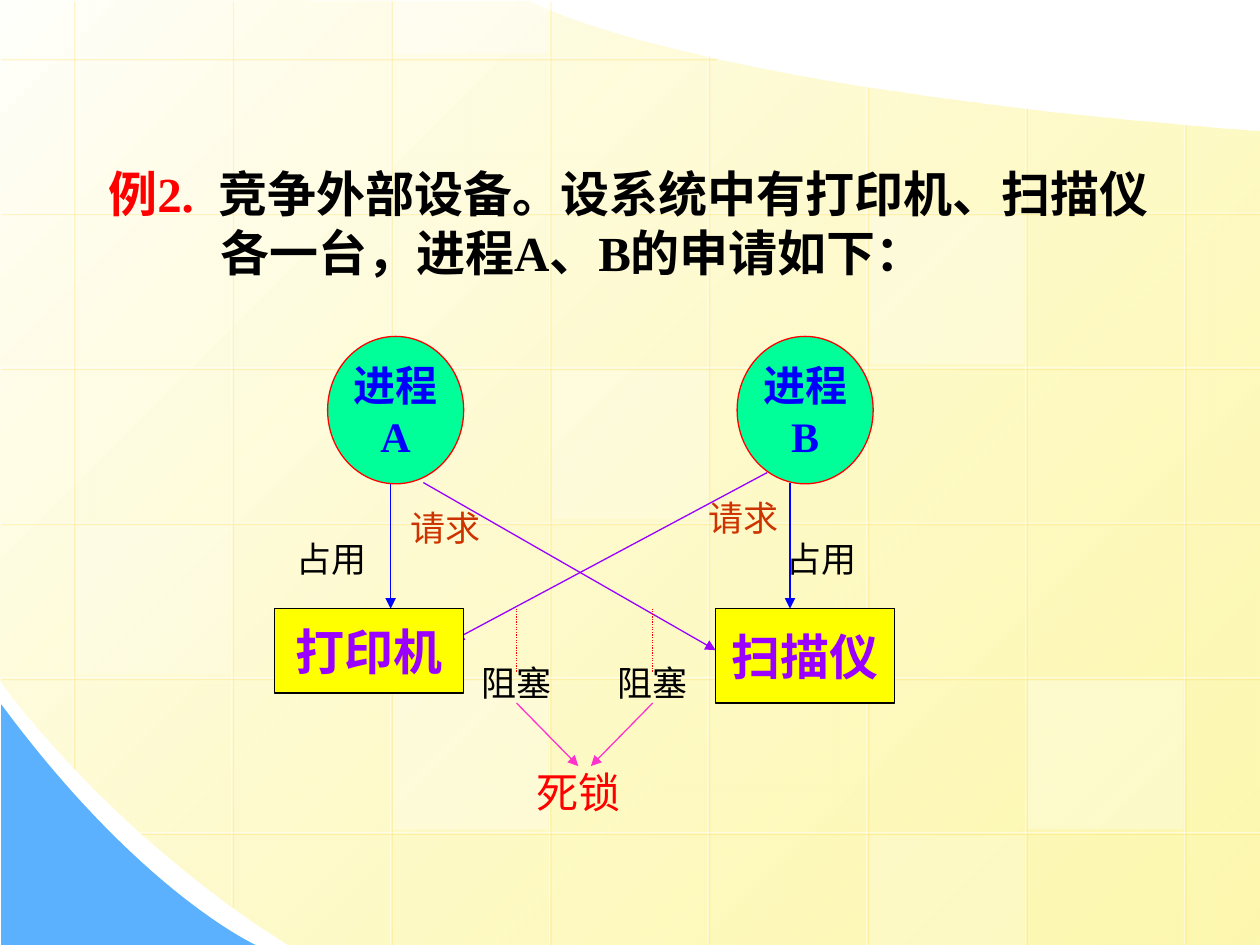
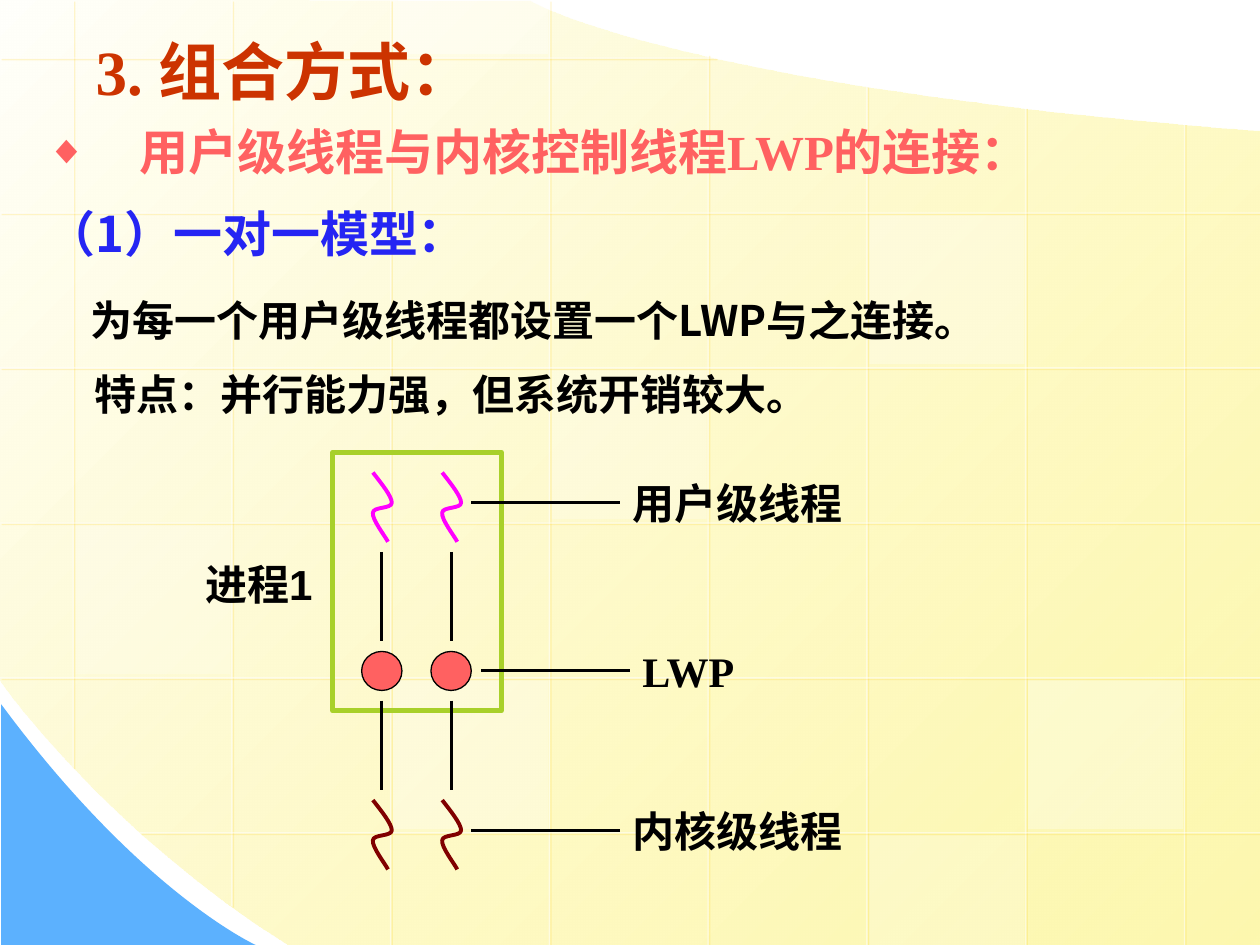
import pptx
import pptx.dml.color
import pptx.enum.dml
import pptx.enum.shapes
import pptx.enum.text
import pptx.oxml.ns
import pptx.util
from lxml import etree

Inches = pptx.util.Inches
Pt = pptx.util.Pt
RGB = pptx.dml.color.RGBColor
ALIGN = pptx.enum.text.PP_ALIGN
ANCHOR = pptx.enum.text.MSO_ANCHOR
SHAPE = pptx.enum.shapes.MSO_SHAPE
DASH = pptx.enum.dml.MSO_LINE

BLACK = RGB(0x00, 0x00, 0x00)
WHITE = RGB(0xFF, 0xFF, 0xFF)
RED = RGB(0xFF, 0x00, 0x00)
BLUE = RGB(0x00, 0x00, 0xFF)
YELLOW = RGB(0xFF, 0xFF, 0x00)
PURPLE = RGB(0x99, 0x00, 0xFF)
RUST = RGB(0xCC, 0x33, 0x00)
PINK = RGB(0xFF, 0x33, 0xCC)
MAGENTA = RGB(0xFF, 0x00, 0xFF)
MAROON = RGB(0x80, 0x00, 0x00)
MINT = RGB(0x00, 0xFF, 0x99)
LIME = RGB(0xA8, 0xD0, 0x2A)
CORAL = RGB(0xFF, 0x61, 0x61)
INDIGO = RGB(0x25, 0x25, 0xF3)
SKY = RGB(0x5C, 0xB1, 0xFE)
IVORY = RGB(0xFF, 0xFF, 0xFB)
CREAM = RGB(0xFD, 0xF5, 0x8D)
GRID_SHADOW = "FFCC00"

TIMES = "Times New Roman"
ARIAL = "Arial"
CJK = "Noto Sans CJK SC"
LINE_HEIGHT = 1.22
WIDTH, HEIGHT = 10, 7.5


def add_xml(parent, tag, **attributes):
    child = etree.SubElement(parent, pptx.oxml.ns.qn(tag))
    for key, value in attributes.items():
        child.set(key, str(value))
    return child


def set_opacity(shape, percent):
    """Apply the opacity to the last colour of the shape."""
    color = shape.element.xpath("./p:spPr//a:srgbClr")[-1]
    add_xml(color, "a:alpha", val=percent * 1000)


def write(paragraph, text, *, size, color, bold=True, font=TIMES, spacing=0):
    run = paragraph.add_run()
    run.text = text
    run.font.size = Pt(size)
    run.font.bold = bold
    run.font.color.rgb = color
    run.font.name = font
    if spacing:
        run.font._element.set("spc", str(spacing * 100))
    add_xml(run.font._element, "a:ea", typeface=CJK)
    paragraph.line_spacing = Pt(round(size * LINE_HEIGHT))


def fill_text(frame, text, *, align=ALIGN.CENTER, anchor=ANCHOR.MIDDLE, **style):
    frame.word_wrap = False
    frame.vertical_anchor = anchor
    for number, line in enumerate(text.split("\n")):
        paragraph = frame.add_paragraph() if number else frame.paragraphs[0]
        paragraph.alignment = align
        write(paragraph, line, **style)


def place(placeholder, left, top, width, height):
    """Move a placeholder and return its top-anchored, wrapping text frame."""
    placeholder.left, placeholder.top = Inches(left), Inches(top)
    placeholder.width, placeholder.height = Inches(width), Inches(height)
    frame = placeholder.text_frame
    frame.word_wrap = True
    frame.auto_size = pptx.enum.text.MSO_AUTO_SIZE.NONE
    frame.vertical_anchor = ANCHOR.TOP
    return frame


def indent(paragraph, left, first=0, bullet=None):
    properties = paragraph._p.get_or_add_pPr()
    properties.set("marL", str(Inches(left)))
    properties.set("indent", str(Inches(first)))
    if bullet:
        add_xml(properties, "a:buSzPct", val=83000)
        add_xml(properties, "a:buFont", typeface=ARIAL)
        add_xml(properties, "a:buChar", char=bullet)
    else:
        add_xml(properties, "a:buNone")


class Region:
    """Draws on a slide in inches from its own top left corner."""

    def __init__(self, slide, left=0, top=0):
        self.shapes, self.left, self.top = slide.shapes, left, top

    def at(self, x, y):
        return Inches(self.left + x), Inches(self.top + y)

    def finish(self, shape, fill, outline, weight):
        shape.shadow.inherit = False
        if fill is None:
            shape.fill.background()
        else:
            shape.fill.solid()
            shape.fill.fore_color.rgb = fill
        if outline is None:
            shape.line.fill.background()
        else:
            shape.line.color.rgb = outline
            shape.line.width = Pt(weight)
        return shape

    def shape(self, kind, x, y, width, height, fill=None, outline=None, weight=0.75):
        shape = self.shapes.add_shape(kind, *self.at(x, y), Inches(width), Inches(height))
        return self.finish(shape, fill, outline, weight)

    def freeform(self, start, segments, fill=None, outline=None, weight=0.75, close=False):
        """Join segments of one point (straight) or three points (cubic curve)."""
        builder = self.shapes.build_freeform(*self.at(*start))
        builder.add_line_segments([self.at(*point) for segment in segments for point in segment],
                                  close=close)
        shape = builder.convert_to_shape()
        nodes = iter(shape.element.xpath(".//a:lnTo"))
        for segment in segments:
            group = [next(nodes) for _ in segment]
            if len(group) == 3:
                curve = etree.Element(pptx.oxml.ns.qn("a:cubicBezTo"))
                group[0].addprevious(curve)
                for node in group:
                    curve.append(node[0])
                    node.getparent().remove(node)
        return self.finish(shape, fill, outline, weight)

    def line(self, start, end, color, weight=0.75, arrow=False, dash=None):
        line = self.shapes.add_connector(pptx.enum.shapes.MSO_CONNECTOR.STRAIGHT,
                                         *self.at(*start), *self.at(*end))
        line.line.color.rgb = color
        line.line.width = Pt(weight)
        if dash:
            line.line.dash_style = dash
        if arrow:
            add_xml(line.line._get_or_add_ln(), "a:tailEnd", type="triangle")
        add_xml(line.element.spPr, "a:effectLst")
        return line

    def label(self, text, x, y, width, height, inset=0.1, **style):
        box = self.shapes.add_textbox(*self.at(x, y), Inches(width), Inches(height))
        box.text_frame.margin_left = box.text_frame.margin_right = Inches(inset)
        fill_text(box.text_frame, text, **style)


def grid_line(canvas, start, end):
    line = canvas.line(start, end, WHITE)
    set_opacity(line, 50)
    effects = line.element.spPr.find(pptx.oxml.ns.qn("a:effectLst"))
    shadow = add_xml(effects, "a:outerShdw", dist=Pt(1.4), dir=45 * 60000)
    color = add_xml(shadow, "a:srgbClr", val=GRID_SHADOW)
    add_xml(color, "a:alpha", val=34000)


def build_master_background(slide, master):
    """Draw the shared background and move it to the master."""
    canvas = Region(slide)
    paper_edge = (
        ((WIDTH, 4.27), (WIDTH, HEIGHT), (WIDTH, HEIGHT)),
        ((WIDTH, HEIGHT), (6.15, HEIGHT), (2.3, HEIGHT)),
        ((0.86, 6.61), (-0.01, 5.39), (0, 5.39)),
        ((-0.01, -0.01),),
        ((4.21, 0.01),),
        ((4.21, 0.01), (5.37, 0.69), (WIDTH, 1.04)),
    )
    paper = canvas.freeform((WIDTH, 1.04), paper_edge, fill=CREAM, close=True)
    paper.fill.gradient()
    paper.fill.gradient_angle = 315
    for position, (stop, color) in enumerate(zip(paper.fill.gradient_stops, (IVORY, CREAM))):
        stop.color.rgb = color
        stop.position = position
    set_opacity(paper, 70)
    corner_edge = (
        ((0.01, 6.55), (0.01, HEIGHT), (0.01, HEIGHT)),
        ((2.03, HEIGHT),),
        ((2.03, HEIGHT), (1.12, 7.09), (0.01, 5.59)),
    )
    canvas.freeform((0.01, 5.59), corner_edge, fill=SKY, close=True)

    column, row = 1.26, 1.23
    tops = (0, 0, 0, 0, 0.43, 0.68, 0.85, 0.98)
    bottoms = (6.09, 7.19) + (HEIGHT,) * 6
    for number, (top, bottom) in enumerate(zip(tops, bottoms)):
        x = 0.58 + number * column
        grid_line(canvas, (x, top), (x, bottom))
    for number in range(6):
        y = 0.46 + number * row
        grid_line(canvas, (WIDTH if number else 5.68, y), (1.11 if number == 5 else 0, y))
    tiles = ((3, 2, 25), (6, 4, 30), (0, 3, 20), (5, 5, 20), (2, -1, 40), (2, 4, 30), (5, 1, 30))
    for tile_column, tile_row, opacity in tiles:
        y = 0.48 + tile_row * row
        top, bottom = max(0, y), min(HEIGHT, y + 1.18)
        tile = canvas.shape(SHAPE.RECTANGLE, 0.6 + tile_column * column, top,
                            1.23, bottom - top, WHITE)
        set_opacity(tile, opacity)

    decorations = [shape for shape in slide.shapes if not shape.is_placeholder]
    for number, decoration in enumerate(decorations, 100):
        decoration.element.xpath("./*/p:cNvPr")[0].set("id", str(number))
        master.shapes.element.append(decoration.element)


def deadlock_diagram(slide, left, top):
    area = Region(slide, left, top)
    for x in (0.92, 4.09):
        area.line((x, 1.16), (x, 2.16), BLUE, arrow=True)
    area.line((1.18, 1.16), (3.5, 2.49), PURPLE, arrow=True)
    area.line((3.91, 1.08), (1.42, 2.41), PURPLE, arrow=True)

    for process, x in (("A", 0.42), ("B", 3.67)):
        circle = area.shape(SHAPE.OVAL, x, 0, 1.08, 1.17, MINT, RED)
        fill_text(circle.text_frame, f"进程\n{process}", size=24, color=BLUE)
    for device, x, width, height in (("打印机", 0, 1.5, 0.67), ("扫描仪", 3.5, 1.42, 0.75)):
        box = area.shape(SHAPE.RECTANGLE, x, 2.16, width, height, YELLOW, BLACK)
        fill_text(box.text_frame, device, size=28, color=PURPLE)

    note = dict(inset=0, size=20, bold=False)
    for x in (0.15, 4.04):
        area.label("占用", x, 1.46, 0.6, 0.6, color=BLACK, **note)
    for x, y in ((1.06, 1.25), (3.42, 1.17)):
        area.label("请求", x, y, 0.6, 0.53, color=RUST, **note)
    for x, target in ((1.92, 2.41), (3, 2.51)):
        area.line((x, 2.16), (x, 2.66), RED, dash=DASH.ROUND_DOT)
        area.label("阻塞", x - 0.3, 2.5, 0.6, 0.5, color=BLACK, **note)
        area.line((x, 2.91), (target, 3.41), PINK, arrow=True)
    area.label("死锁", 2.05, 3.31, 0.72, 0.6, inset=0, size=24, color=RED, bold=False)


def one_to_one_diagram(slide, left, top):
    area = Region(slide, left, top)
    area.shape(SHAPE.RECTANGLE, 1.11, 0, 1.34, 2.05, outline=LIME, weight=3)
    squiggle = (
        ((0.08, 0.09), (0.16, 0.19), (0.16, 0.24)),
        ((0.16, 0.29), (0.01, 0.27), (0.01, 0.32)),
        ((0, 0.37), (0.11, 0.51), (0.13, 0.55)),
    )
    for x in (1.42, 1.97):
        for y, color in ((0.16, MAGENTA), (2.76, MAROON)):
            thread = [[(x + dx, y + dy) for dx, dy in curve] for curve in squiggle]
            area.freeform((x + 0.01, y), thread, outline=color, weight=2.25)
        for y in (0.79, 1.97):
            area.line((x + 0.08, y), (x + 0.08, y + 0.71), BLACK, 1.75)
        area.shape(SHAPE.OVAL, x - 0.08, 1.58, 0.32, 0.31, CORAL, BLACK)

    style = dict(size=24, color=BLACK, align=ALIGN.LEFT, anchor=ANCHOR.TOP)
    callouts = (("用户级线程", 2.21, 0.4, ARIAL), ("LWP", 2.29, 1.73, TIMES),
                ("内核级线程", 2.21, 3, ARIAL))
    for text, x, y, font in callouts:
        area.line((x, y), (x + 1.18, y), BLACK, 1.75)
        area.label(text, x + 1.18, y - 0.25, 2.05, 0.5, font=font, **style)
    area.label("进程1", 0, 0.79, 1.34, 0.5, font=ARIAL, **style)


def build_deadlock_slide(slide):
    question = place(slide.shapes.title, 0.76, 1.24, 8.57, 1.03).paragraphs[0]
    question.alignment = ALIGN.LEFT
    indent(question, 0.89, -0.89)
    write(question, "例2.", size=28, color=RED)
    write(question, " ", size=28, color=RED, spacing=7)
    write(question, "竞争外部设备。设系统中有打印机、扫描仪各一台，进程A、B的申请如下：",
          size=28, color=BLACK)
    deadlock_diagram(slide, 2.18, 2.67)


def build_thread_model_slide(slide):
    heading = place(slide.shapes.title, 0.66, 0.2, 6.46, 0.7).paragraphs[0]
    heading.alignment = ALIGN.LEFT
    write(heading, "3. ", size=36, color=RUST)
    write(heading, "组合方式：", size=36, color=RUST, font=ARIAL)

    body = place(slide.placeholders[1], 0.27, 0.91, 9.13, 3.26)
    points = (
        ("用户级线程与内核控制线程LWP的连接：", 28, CORAL, TIMES, 0, (0.74, -0.74, "◆")),
        ("（1）一对一模型：", 28, INDIGO, CJK, 13, (0.67, -0.67)),
        ("为每一个用户级线程都设置一个LWP与之连接。", 24, BLACK, CJK, 18, (0.35,)),
        ("特点：并行能力强，但系统开销较大。", 24, BLACK, CJK, 13, (0.38,)),
    )
    for number, (text, size, color, font, gap, indents) in enumerate(points):
        paragraph = body.add_paragraph() if number else body.paragraphs[0]
        indent(paragraph, *indents)
        paragraph.alignment = ALIGN.JUSTIFY
        paragraph.space_before = Pt(gap)
        write(paragraph, text, size=size, color=color, font=font)
    one_to_one_diagram(slide, 1.53, 3.59)


def main():
    deck = pptx.Presentation()
    deck.slide_width, deck.slide_height = Inches(WIDTH), Inches(HEIGHT)
    deadlock = deck.slides.add_slide(deck.slide_layouts.get_by_name("Title Only"))
    build_master_background(deadlock, deck.slide_master)
    build_deadlock_slide(deadlock)
    thread_model = deck.slides.add_slide(deck.slide_layouts.get_by_name("Title and Content"))
    build_thread_model_slide(thread_model)
    deck.save("out.pptx")


if __name__ == "__main__":
    main()
